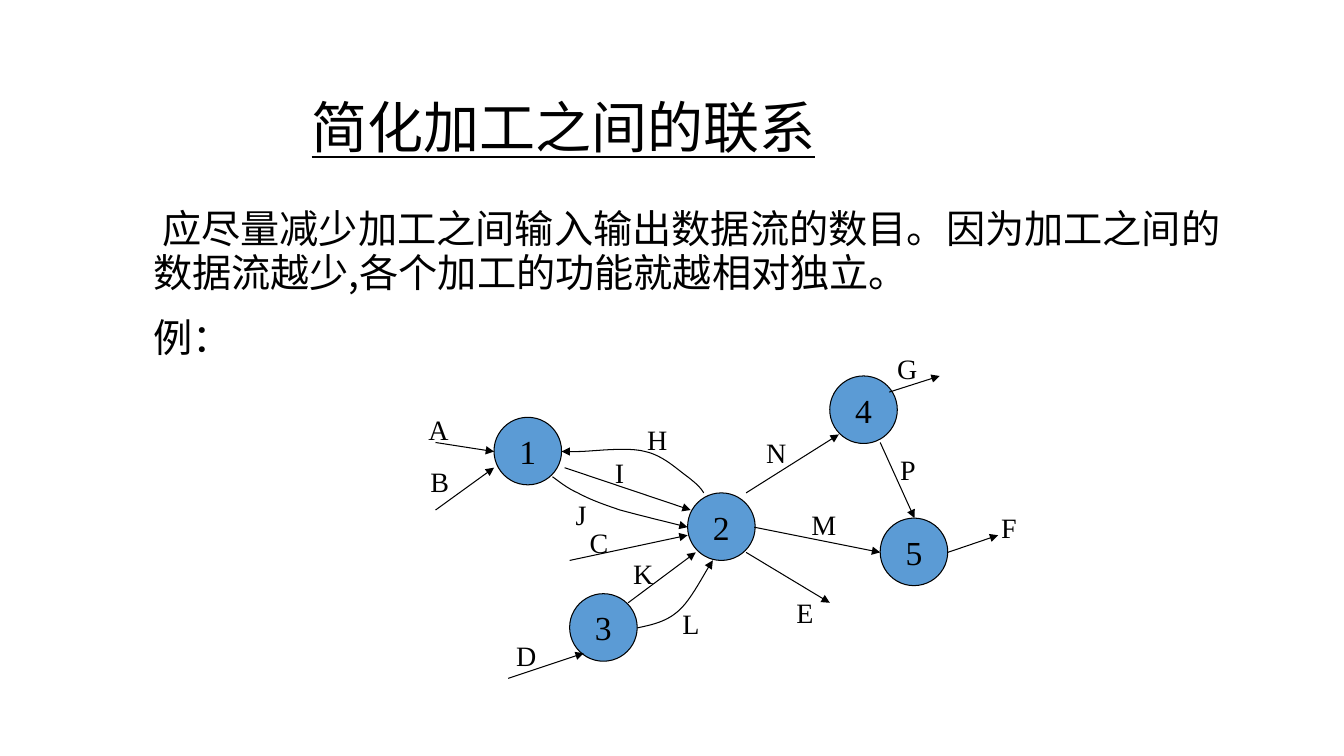
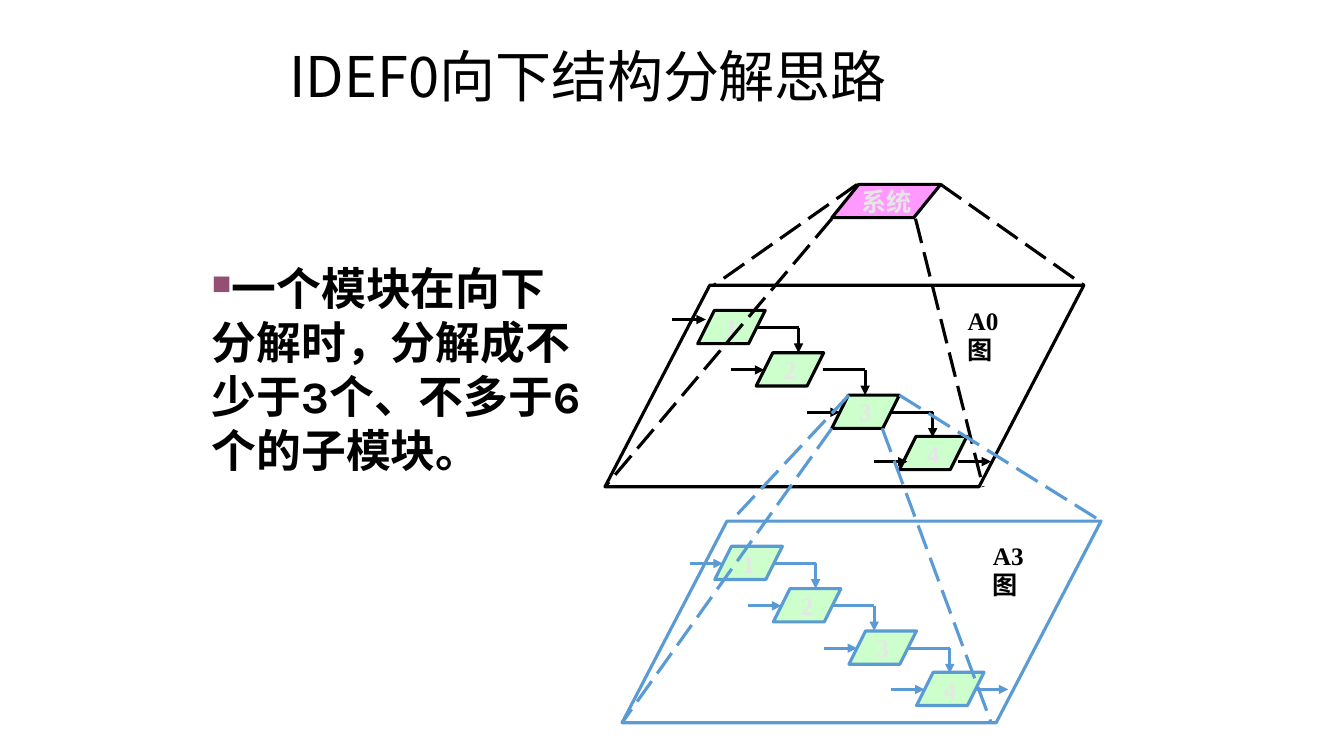
from dataclasses import dataclass

from lxml import etree
from pptx import Presentation
from pptx.dml.color import RGBColor
from pptx.enum import dml, shapes, text
from pptx.oxml.ns import qn
from pptx.util import Pt

PX = 9144
CURVE_STEPS = 12


@dataclass(frozen=True)
class Theme:
    black: str = "000000"
    blue: str = "5B9BD5"
    green: str = "CCFFCC"
    pink: str = "FF99FF"
    pale: str = "E7E6E6"
    plum: str = "954F72"
    cjk: str = "Noto Sans CJK SC"
    serif: str = "Times New Roman"
    sans: str = "Karla"
    title: int = 40
    body: int = 28
    statement: int = 32
    process: int = 24
    label: int = 20
    module: int = 18
    thin: float = 0.75
    thick: float = 2.25


T = Theme()

COUPLING_TITLE = ("简化加工之间的联系", (299, 67, 790, 125))
COUPLING_BODY = [
    ("应尽量减少加工之间输入输出数据流的数目。因为加工之间的数据流越少,各个加工的功能就越相对独立。", 9, 0),
    ("例：", 0, 15),
]
PROCESS_SIZE = 67
PROCESSES = {"1": (490, 414), "2": (682, 489), "3": (565, 589), "4": (823, 373), "5": (873, 514)}
FLOWS = {
    "A": ((415, 404), (432, 439), (490, 448)),
    "B": ((417, 456), (432, 506), (490, 464)),
    "C": ((575, 516), (565, 556), (682, 531)),
    "D": ((502, 629), (504, 673), (579, 648)),
    "E": ((780, 586), (740, 548), (823, 598)),
    "F": ((983, 502), (940, 548), (990, 531)),
    "G": ((880, 344), (882, 389), (932, 373)),
    "I": ((600, 447), (560, 464), (685, 506)),
    "K": ((618, 547), (623, 598), (690, 548)),
    "M": ((795, 499), (748, 523), (873, 548)),
    "N": ((750, 427), (740, 489), (832, 431)),
    "P": ((883, 444), (873, 439), (907, 514)),
}
CURVED_FLOWS = {
    "H": ((632, 414), [(698, 489), (695, 484), (691, 480), (682, 473), (672, 466), (658, 452), (640, 448),
                       (622, 443), (587, 448), (573, 448), (559, 448), (559, 448), (557, 448)]),
    "J": ((561, 489), [(548, 473), (555, 478), (562, 484), (573, 489), (584, 495), (597, 500), (615, 506),
                       (633, 511), (670, 520), (682, 523)]),
    "L": ((667, 597), [(632, 623), (646, 620), (661, 617), (673, 606), (686, 595), (701, 564), (707, 556)]),
}

IDEF_TITLE = ("IDEF0向下结构分解思路", (277, 56, 698, 45))
IDEF_STATEMENT = "一个模块在向下分解时，分解成不少于3个、不多于6个的子模块。"
SYSTEM = ("系统", (825, 183, 108, 33))
PANEL_SIZE = (475, 200)
MODULE_SIZE = (67, 33)
MODULES = [("1", 92, 25), ("2", 150, 67), ("3", 225, 109), ("4", 292, 150)]
LEVELS = [
    {"name": "A0图", "name_at": (950, 300), "at": (600, 283), "color": T.black,
     "inputs": (9, 17, 17, 25), "link_shifts": (0, 8, 0),
     "rays": [((850, 183), (708, 283)), ((825, 217), (600, 483)),
              ((908, 217), (975, 483)), ((933, 183), (1075, 283))]},
    {"name": "A3图", "name_at": (975, 533), "at": (617, 517), "color": T.blue,
     "inputs": (17, 17, 17, 17), "link_shifts": (0, 0, 0),
     "rays": [((842, 392), (725, 517)), ((825, 425), (617, 717)),
              ((875, 425), (983, 717)), ((892, 392), (1092, 517))]},
]


def emu(*lengths):
    return [round(length * PX) for length in lengths]


def rgb(color):
    return RGBColor.from_string(color)


def style(paragraph, size, face, color=T.black, bold=False):
    font = paragraph.font
    font.size, font.name, font.bold = Pt(size), face, bold
    font.color.rgb = rgb(color)
    properties = paragraph._p.get_or_add_pPr().find(qn("a:defRPr"))
    etree.SubElement(properties, qn("a:ea"), typeface=T.cjk)


def add_title(slide, title, underline=False):
    wording, box = title
    holder = slide.shapes.title
    holder.left, holder.top, holder.width, holder.height = emu(*box)
    frame = holder.text_frame
    frame.text = wording
    frame.auto_size = text.MSO_AUTO_SIZE.NONE
    frame.vertical_anchor = text.MSO_ANCHOR.MIDDLE
    heading = frame.paragraphs[0]
    heading.alignment, heading.line_spacing = text.PP_ALIGN.LEFT, 0.9
    style(heading, T.title, T.cjk)
    heading.font.underline = underline


def add_text(slide, box):
    frame = slide.shapes.add_textbox(*emu(*box)).text_frame
    frame.word_wrap = True
    return frame


def add_node(slide, kind, box, line, width, fill=None):
    node = slide.shapes.add_shape(kind, *emu(*box))
    node.shadow.inherit = False
    node.line.color.rgb, node.line.width = rgb(line), Pt(width)
    if fill:
        node.fill.solid()
        node.fill.fore_color.rgb = rgb(fill)
    else:
        node.fill.background()
    return node


def caption(node, wording, size, color=T.black, bold=False):
    frame = node.text_frame
    frame.text = wording
    frame.word_wrap = False
    frame.vertical_anchor = text.MSO_ANCHOR.MIDDLE
    frame.paragraphs[0].alignment = text.PP_ALIGN.CENTER
    style(frame.paragraphs[0], size, T.serif, color, bold)


def add_arrowhead(stroke):
    etree.SubElement(stroke._element.spPr.find(qn("a:ln")), qn("a:tailEnd"), type="triangle")


def add_line(slide, start, end, color, width, arrow=True, dashed=False):
    stroke = slide.shapes.add_connector(shapes.MSO_CONNECTOR.STRAIGHT, *emu(*start, *end))
    stroke.line.color.rgb, stroke.line.width = rgb(color), Pt(width)
    if dashed:
        stroke.line.dash_style = dml.MSO_LINE.LONG_DASH
    if arrow:
        add_arrowhead(stroke)
    etree.SubElement(stroke._element.spPr, qn("a:effectLst"))


def bezier(a, b, c, d, t):
    s = 1 - t
    return emu(*(s**3 * p + 3 * s * s * t * q + 3 * s * t * t * r + t**3 * e
                 for p, q, r, e in zip(a, b, c, d)))


def add_curve(slide, points):
    route = [bezier(*points[i:i + 4], step / CURVE_STEPS)
             for i in range(0, len(points) - 1, 3)
             for step in range(1, CURVE_STEPS + 1)]
    builder = slide.shapes.build_freeform(*emu(*points[0]))
    builder.add_line_segments(route, close=False)
    curve = builder.convert_to_shape()
    curve.shadow.inherit = False
    curve.fill.background()
    curve.line.color.rgb, curve.line.width = rgb(T.black), Pt(T.thin)
    add_arrowhead(curve)


def add_flow_label(slide, name, at):
    frame = add_text(slide, (*at, 42, 43))
    frame.text = name
    style(frame.paragraphs[0], T.label, T.serif)


def build_coupling(slide):
    add_title(slide, COUPLING_TITLE, underline=True)
    frame = add_text(slide, (117, 201, 1103, 160))
    for index, (wording, indent, gap) in enumerate(COUPLING_BODY):
        paragraph = frame.add_paragraph() if index else frame.paragraphs[0]
        paragraph.text = wording
        paragraph.alignment = text.PP_ALIGN.JUSTIFY
        paragraph.line_spacing = Pt(31.5)
        if gap:
            paragraph.space_before = Pt(gap)
        properties = paragraph._p.get_or_add_pPr()
        properties.set("marL", str(25 * PX))
        properties.set("indent", str(indent * PX))
        style(paragraph, T.body, T.cjk)
    for name, at in PROCESSES.items():
        process = add_node(slide, shapes.MSO_SHAPE.FLOWCHART_CONNECTOR,
                           (*at, PROCESS_SIZE, PROCESS_SIZE), T.black, T.thin, T.blue)
        caption(process, name, T.process)
    for name, (at, start, end) in FLOWS.items():
        add_line(slide, start, end, T.black, T.thin)
        add_flow_label(slide, name, at)
    for name, (at, points) in CURVED_FLOWS.items():
        add_curve(slide, points)
        add_flow_label(slide, name, at)


def add_module(slide, name, box, color, fill, slant):
    module = add_node(slide, shapes.MSO_SHAPE.PARALLELOGRAM, box, color, T.thick, fill)
    module.adjustments[0] = slant
    if name:
        caption(module, name, T.module, T.pale, bold=True)


def add_level(slide, level):
    left, top = level["at"]
    color = level["color"]
    spots = [(left + dx, top + dy) for _, dx, dy in MODULES]
    add_module(slide, None, (left, top, *PANEL_SIZE), color, None, 0.52)
    for (name, _, _), spot in zip(MODULES, spots):
        add_module(slide, name, (*spot, *MODULE_SIZE), color, T.green, 0.5)
    for start, end in level["rays"]:
        add_line(slide, start, end, color, T.thick, arrow=False, dashed=True)
    for (x, y), drop in zip(spots, level["inputs"]):
        add_line(slide, (x - 25, y + drop), (x + 8, y + drop), color, T.thick)
    for (x, y), shift in zip(spots, level["link_shifts"]):
        bend = (x + 100 + shift, y + 17)
        add_line(slide, (x + 58 + shift, y + 17), bend, color, T.thick, arrow=False)
        add_line(slide, bend, (bend[0], y + 42), color, T.thick)
    x, y = spots[-1]
    exit_y = y + level["inputs"][-1]
    add_line(slide, (x + 58, exit_y), (x + 91, exit_y), color, T.thick)
    frame = add_text(slide, (*level["name_at"], 70, 67))
    frame.text = level["name"]
    frame.paragraphs[0].line_spacing = Pt(20.5)
    style(frame.paragraphs[0], T.module, T.serif, bold=True)


def build_decomposition(slide):
    add_title(slide, IDEF_TITLE)
    frame = add_text(slide, (200, 254, 388, 226))
    frame.text = IDEF_STATEMENT
    statement = frame.paragraphs[0]
    statement.line_spacing = Pt(38.5)
    properties = statement._p.get_or_add_pPr()
    bullet_color = etree.SubElement(properties, qn("a:buClr"))
    etree.SubElement(bullet_color, qn("a:srgbClr"), val=T.plum)
    etree.SubElement(properties, qn("a:buSzPct"), val="60000")
    etree.SubElement(properties, qn("a:buChar"), char="■")
    style(statement, T.statement, T.sans, bold=True)
    name, box = SYSTEM
    add_module(slide, name, box, T.black, T.pink, 0.81)
    for level in LEVELS:
        add_level(slide, level)


def main():
    deck = Presentation()
    deck.slide_width, deck.slide_height = emu(1333, 750)
    title_only = deck.slide_layouts[5]
    for build in (build_coupling, build_decomposition):
        build(deck.slides.add_slide(title_only))
    deck.save("out.pptx")


if __name__ == "__main__":
    main()
